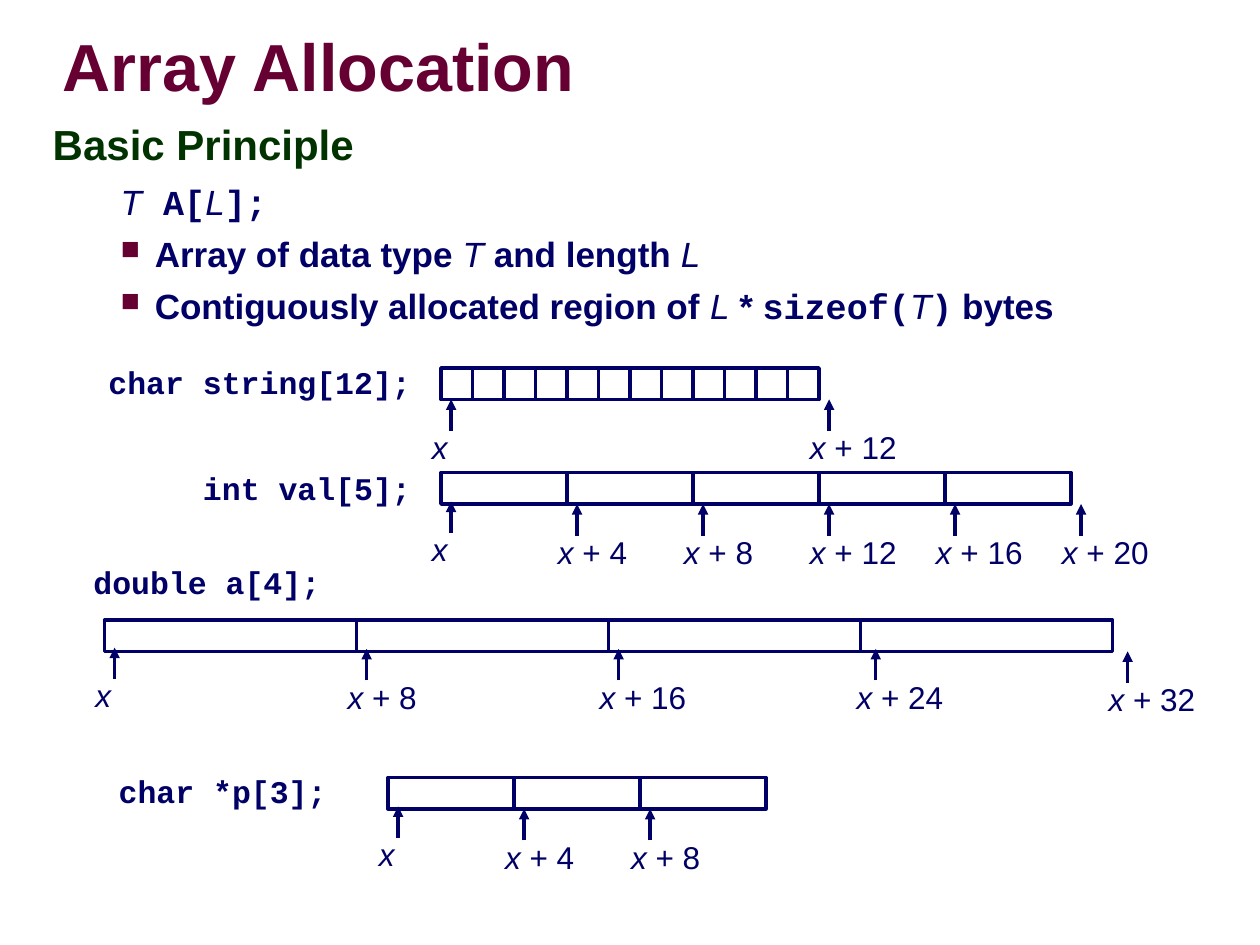
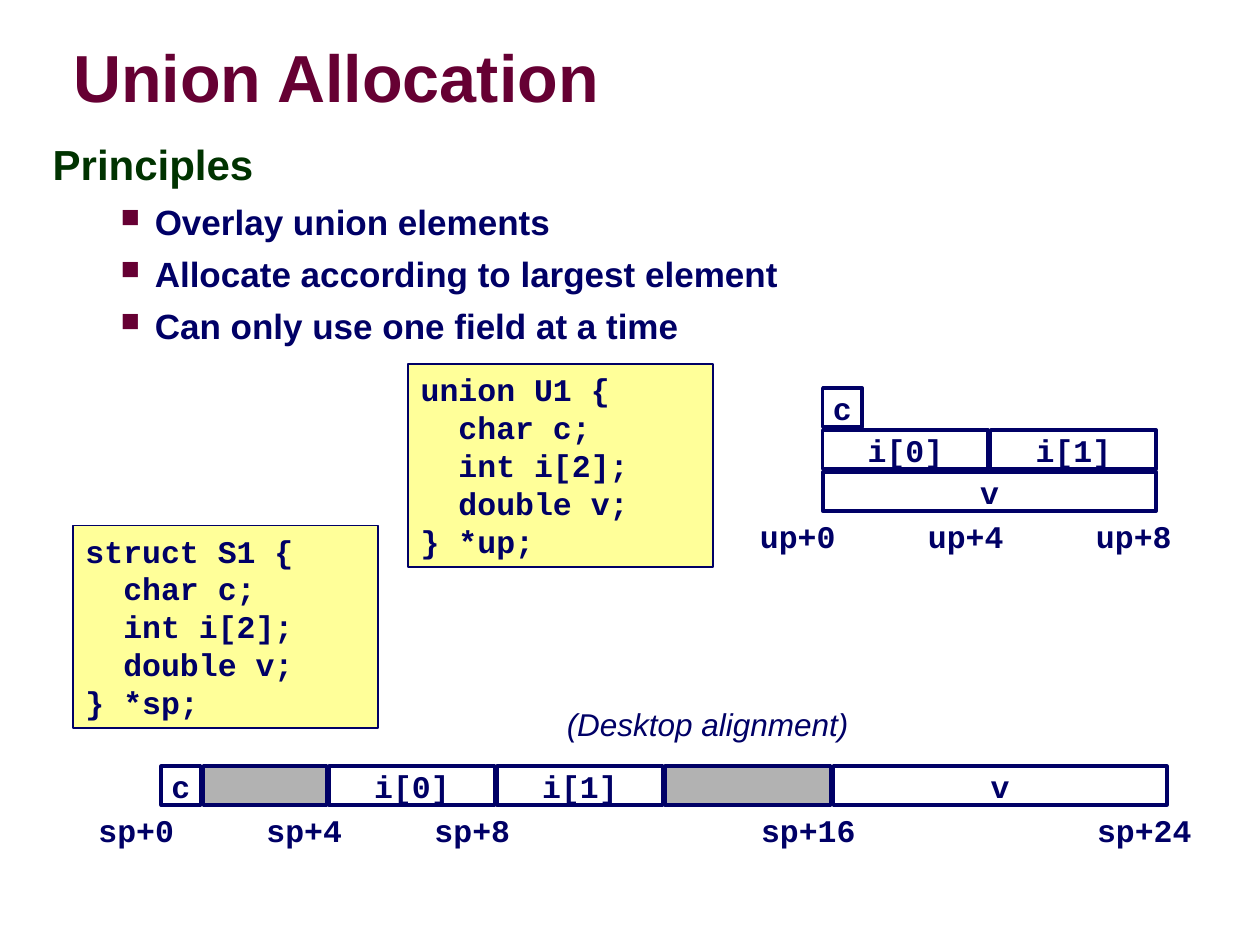
from lxml import etree
from pptx import Presentation
from pptx.dml.color import RGBColor
from pptx.enum import shapes, text
from pptx.oxml import ns
from pptx.util import Inches, Pt

MAROON = RGBColor(0x66, 0x00, 0x33)
GREEN = RGBColor(0x00, 0x33, 0x00)
NAVY = RGBColor(0x00, 0x00, 0x66)
WHITE = RGBColor(0xFF, 0xFF, 0xFF)
YELLOW = RGBColor(0xFF, 0xFF, 0x99)
GRAY = RGBColor(0xB2, 0xB2, 0xB2)
SANS, MONO = "Arial", "Courier New"
STYLES = {
    "bold": (SANS, True, False),
    "plain": (SANS, False, False),
    "italic": (SANS, False, True),
    "code": (MONO, True, False),
}
BYTE = 0.25
FIELD_BYTE = 1 / 3
BAR = 0.31


def add_node(parent, tag, **attributes):
    """Append a DrawingML element and return it."""
    return etree.SubElement(parent, ns.qn(tag), attributes)


def style_span(span, style, size, color):
    """Apply one of the named text styles to a run."""
    span.font.name, span.font.bold, span.font.italic = STYLES[style]
    span.font.size = Pt(size)
    span.font.color.rgb = color


def write(para, spans, size=18, color=NAVY):
    """Fill a paragraph with (text, style) spans."""
    for words, style in spans:
        span = para.add_run()
        span.text = words
        style_span(span, style, size, color)


def add_text(page, left, top, width, height, wrap=True):
    """Add an empty text box and return its frame."""
    box = page.shapes.add_textbox(Inches(left), Inches(top), Inches(width), Inches(height))
    box.text_frame.word_wrap = wrap
    return box.text_frame


def add_code_label(page, left, top, words):
    """Add a one-line code label as wide as its characters need."""
    para = add_text(page, left, top, code_width(words), 0.4, wrap=False).paragraphs[0]
    para.alignment = text.PP_ALIGN.RIGHT
    write(para, [(words, "code")])


def code_width(words):
    """Return the width of a code label with its margins."""
    return 0.2 + 0.15 * len(words)


def add_rect(page, left, top, width, height, fill=WHITE, line=2):
    """Add a navy-edged rectangle."""
    rect = page.shapes.add_shape(shapes.MSO_SHAPE.RECTANGLE, Inches(left), Inches(top),
                                 Inches(width), Inches(height))
    rect.shadow.inherit = False
    rect.fill.solid()
    rect.fill.fore_color.rgb = fill
    rect.line.color.rgb = NAVY
    rect.line.width = Pt(line)
    return rect


def add_title(page, left, top, width, words):
    """Add the shadowed slide title."""
    frame = add_text(page, left, top, width, 0.63)
    frame.margin_left = frame.margin_right = frame.margin_top = frame.margin_bottom = 0
    frame.vertical_anchor = text.MSO_ANCHOR.MIDDLE
    para = frame.paragraphs[0]
    para.line_spacing = 0.87
    write(para, [(words, "bold")], 38, MAROON)
    effects = add_node(para.runs[0].font._element, "a:effectLst")
    shadow = add_node(effects, "a:outerShdw", dist="38100", dir="2700000")
    add_node(shadow, "a:srgbClr", val="969696")
    rpr = para.runs[0].font._element
    rpr.find(ns.qn("a:solidFill")).addnext(effects)


def add_body(page, top, height, heading, items):
    """Add a heading and its items, each a (bulleted, spans) pair."""
    frame = add_text(page, 0.32, top, 9.09, height)
    para = frame.paragraphs[0]
    para.line_spacing = 0.95
    write(para, [(heading, "bold")], 24, GREEN)
    for bulleted, spans in items:
        para = frame.add_paragraph()
        props = para._p.get_or_add_pPr()
        props.set("marL", str(Inches(0.81)))
        props.set("indent", str(Inches(-0.27)))
        if bulleted:
            add_node(add_node(props, "a:buClr"), "a:srgbClr", val=str(MAROON))
            add_node(props, "a:buSzPct", val="75000")
            add_node(props, "a:buChar", char="■")
        para.space_before = Pt(5.75)
        write(para, spans, 20)


def add_address(page, x, top, offset):
    """Add an upward arrow at x with its address below."""
    arrow = page.shapes.add_connector(shapes.MSO_CONNECTOR.STRAIGHT, Inches(x),
                                      Inches(top + 0.25), Inches(x), Inches(top))
    arrow.line.color.rgb = NAVY
    arrow.line.width = Pt(2)
    add_node(arrow.line._get_or_add_ln(), "a:tailEnd", type="triangle")
    add_node(arrow._element.spPr, "a:effectLst")
    spans = [("x ", "italic"), (f"+ {offset}", "plain")] if offset else [("x", "italic")]
    frame = add_text(page, x - 0.25, top + 0.18, 1.08 if offset else 0.43, 0.4)
    write(frame.paragraphs[0], spans)


def add_array(page, left, top, size, count, marks, nudges):
    """Draw an array of cells and mark the addresses of chosen indexes."""
    cell = size * BYTE
    for index in range(count):
        add_rect(page, left + index * cell, top, cell, 0.25)
    for index in marks:
        across, down = nudges.get(index, (0, 0))
        add_address(page, left + 0.08 + index * cell + across, top + 0.25 + down, index * size)


def add_code(page, left, top, lines):
    """Add a yellow code listing."""
    frame = add_rect(page, left, top, 2.42, 1.61, YELLOW, 1).text_frame
    frame.word_wrap = True
    frame.vertical_anchor = text.MSO_ANCHOR.TOP
    frame.text = "\n".join(lines)
    for para in frame.paragraphs:
        para.alignment = text.PP_ALIGN.LEFT
        style_span(para.runs[0], "code", 18, NAVY)


def add_layout(page, left, top, fields, pointer, offsets):
    """Draw (name, row, offset, size) fields and the byte addresses below them."""
    for name, row, offset, size in fields:
        rect = add_rect(page, left + offset * FIELD_BYTE, top + row * FIELD_BYTE,
                        size * FIELD_BYTE - 0.02, BAR, WHITE if name else GRAY)
        if name:
            frame = rect.text_frame
            frame.word_wrap = False
            frame.vertical_anchor = text.MSO_ANCHOR.MIDDLE
            frame.paragraphs[0].alignment = text.PP_ALIGN.CENTER
            write(frame.paragraphs[0], [(name, "code")])
    bottom = top + max(row for _, row, _, _ in fields) * FIELD_BYTE + BAR
    for offset in offsets:
        words = f"{pointer}+{offset}"
        center = left - 0.2 + offset * FIELD_BYTE
        add_code_label(page, center - code_width(words) / 2, bottom, words)


def build_array_page(page):
    """Build the slide on array allocation."""
    add_title(page, 0.5, 0.25, 6.5, "Array Allocation")
    add_body(page, 0.92, 1.77, "Basic Principle", [
        (False, [("T", "italic"), (" A[", "code"), ("L", "italic"), ("];", "code")]),
        (True, [("Array of data type ", "bold"), ("T", "italic"),
                (" and length ", "bold"), ("L", "italic")]),
        (True, [("Contiguously allocated region of ", "bold"), ("L", "italic"),
                (" * ", "bold"), ("sizeof(", "code"), ("T", "italic"), (")", "code"),
                (" bytes", "bold")]),
    ])
    raised = {0: (0, -0.02)}
    double_nudges = {0: (0, -0.03), 1: (0, -0.02), 2: (0, -0.02), 3: (0.04, -0.02), 4: (0.04, 0)}
    arrays = [
        ("char string[12];", 0.76, 2.83, 3.5, 2.92, 1, 12, (0, 12), {}),
        ("int val[5];", 1.51, 3.67, 3.5, 3.75, 4, 5, range(6), raised),
        ("double a[4];", 0.64, 4.42, 0.83, 4.92, 8, 4, range(5), double_nudges),
        ("char *p[3];", 0.84, 6.08, 3.08, 6.17, 4, 3, range(3), raised),
    ]
    for words, label_left, label_top, *array in arrays:
        add_code_label(page, label_left, label_top, words)
        add_array(page, *array)


def build_union_page(page):
    """Build the slide on union allocation."""
    add_title(page, 0.58, 0.33, 6.29, "Union Allocation")
    principles = ["Overlay union elements", "Allocate according to largest element",
                  "Can only use one field at a time"]
    add_body(page, 1.08, 5.97, "Principles", [(True, [(item, "bold")]) for item in principles])
    members = ["  char c;", "  int i[2];", "  double v;"]
    add_code(page, 3.24, 2.89, ["union U1 {", *members, "} *up;"])
    add_layout(page, 6.53, 3.08, [("c", 0, 0, 1), ("i[0]", 1, 0, 4), ("i[1]", 1, 4, 4),
                                  ("v", 2, 0, 8)], "up", (0, 4, 8))
    add_code(page, 0.58, 4.17, ["struct S1 {", *members, "} *sp;"])
    add_layout(page, 1.28, 6.08, [("c", 0, 0, 1), ("i[0]", 0, 4, 4), ("i[1]", 0, 8, 4),
                                  ("v", 0, 16, 8), ("", 0, 1, 3), ("", 0, 12, 4)],
               "sp", (0, 4, 8, 16, 24))
    note = add_text(page, 4.4, 5.55, 2.53, 0.4, wrap=False)
    write(note.paragraphs[0], [("(Desktop alignment)", "italic")])


def main():
    """Build and save the deck."""
    deck = Presentation()
    deck.slide_width, deck.slide_height = Inches(10), Inches(7.5)
    for build in (build_array_page, build_union_page):
        build(deck.slides.add_slide(deck.slide_layouts[6]))
    deck.save("out.pptx")


if __name__ == "__main__":
    main()
